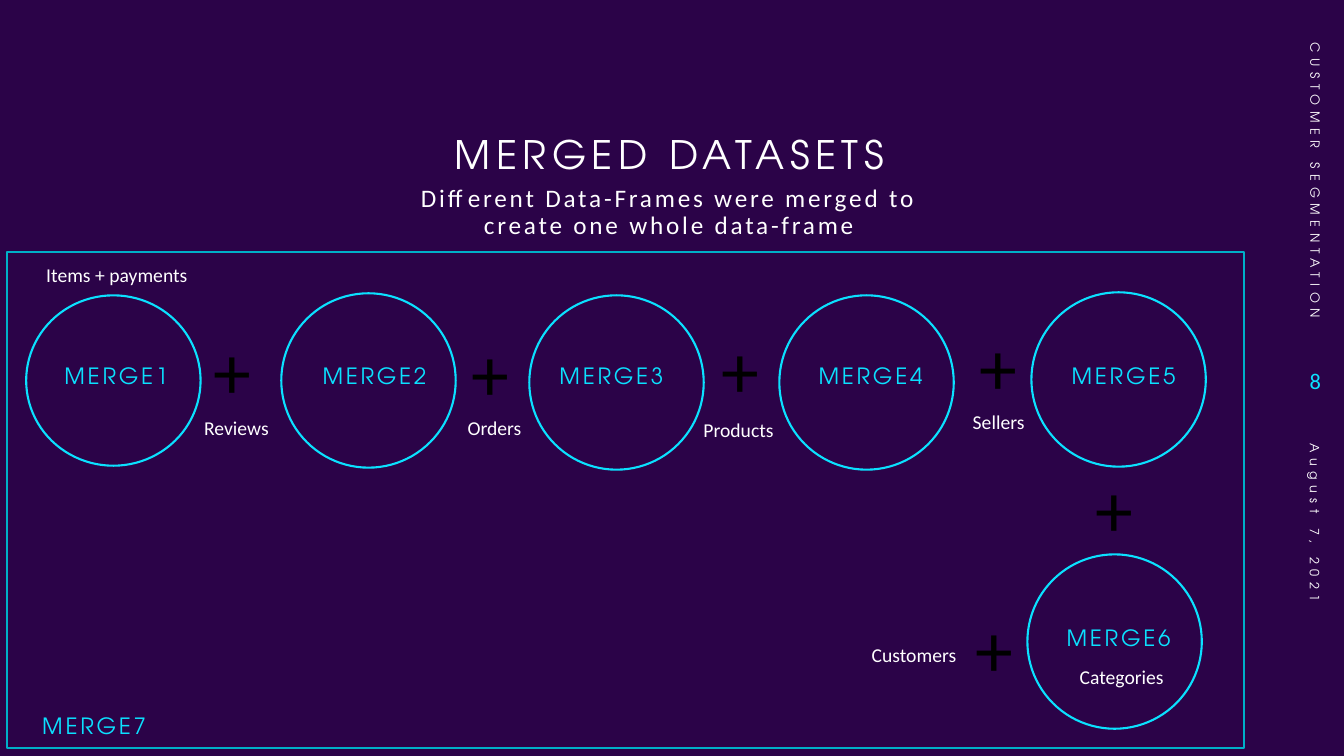
from pptx import Presentation
from pptx.dml.color import RGBColor
from pptx.enum.shapes import MSO_SHAPE
from pptx.enum.text import MSO_ANCHOR, MSO_AUTO_SIZE, PP_ALIGN
from pptx.util import Inches, Pt

WIDE, HIGH = 13.33, 7.5
PURPLE = RGBColor(0x2B, 0x03, 0x48)
CYAN = RGBColor(0x0B, 0xE1, 0xFF)
TEAL = RGBColor(0x00, 0xAF, 0xC8)
WHITE = RGBColor(0xFF, 0xFF, 0xFF)
BLACK = RGBColor(0x00, 0x00, 0x00)
HEAD, BODY = "TeX Gyre Adventor", "Calibri"

TITLE = "MERGED DATASETS"
LEAD = "Different Data-Frames were merged to create one whole data-frame"
FRAME = (0.07, 2.5, 12.27, 4.92)
DISC = 1.73
ROW = 3.15
RINGS = [
    (0.26, 2.93, 1.69),
    (2.79, 2.91, DISC),
    (5.25, 2.93, DISC),
    (7.73, 2.93, DISC),
    (10.23, 2.9, DISC),
    (10.19, 5.5, DISC),
]
MERGES = [
    (0.22, ROW), (2.78, ROW), (5.13, ROW), (7.7, ROW),
    (10.21, ROW), (10.16, 5.75), (0, 6.62),
]
PLUSES = [
    (2.01, 3.16), (4.57, 3.18), (7.05, 3.15),
    (9.61, 3.12), (10.76, 4.53), (9.57, 5.92),
]
TABLES = [
    ("Items + payments", 1.16, 2.5),
    ("Reviews", 2.345, 4.02),
    ("Orders", 4.905, 4.02),
    ("Products", 7.325, 4.04),
    ("Sellers", 9.905, 3.96),
    ("Categories", 11.125, 6.49),
    ("Customers", 9.065, 6.27),
]
LABEL = (1.87, 0.44)
SIDE = [
    ("CUSTOMER SEGMENTATION", (11.53, 1.54, 3.03, 0.4), PP_ALIGN.RIGHT),
    ("August 7, 2021", (11.59, 5.55, 2.9, 0.4), PP_ALIGN.LEFT),
]


def place(shape, box):
    shape.left, shape.top, shape.width, shape.height = map(Inches, box)


def write(slide, text, box, shape=None, size=14, font=BODY, color=WHITE,
          align=PP_ALIGN.CENTER, anchor=MSO_ANCHOR.TOP, gap=0, lead=1.0,
          turn=0, wrap=True):
    shape = shape or slide.shapes.add_textbox(0, 0, 0, 0)
    place(shape, box)
    shape.rotation = turn
    frame = shape.text_frame
    frame.auto_size = MSO_AUTO_SIZE.NONE
    frame.word_wrap = wrap
    frame.vertical_anchor = anchor
    para = frame.paragraphs[0]
    para.alignment = align
    para.line_spacing = lead
    run = para.add_run()
    run.text = text
    run.font.size = Pt(size)
    run.font.name = font
    run.font.color.rgb = color
    if gap:
        run.font._element.set("spc", str(gap * 100))


def draw(slide, kind, box, color, weight, fill=None):
    shape = slide.shapes.add_shape(kind, *map(Inches, box))
    shape.shadow.inherit = False
    if fill is None:
        shape.fill.background()
    else:
        shape.fill.solid()
        shape.fill.fore_color.rgb = fill
    shape.line.color.rgb = color
    shape.line.width = Pt(weight)


def main():
    deck = Presentation()
    deck.slide_width, deck.slide_height = Inches(WIDE), Inches(HIGH)
    slide = deck.slides.add_slide(deck.slide_layouts[5])
    slide.background.fill.solid()
    slide.background.fill.fore_color.rgb = PURPLE

    draw(slide, MSO_SHAPE.RECTANGLE, FRAME, TEAL, 1, fill=PURPLE)
    write(slide, TITLE, (3.57, 1.08, 6.14, 0.74), shape=slide.shapes.title,
          size=28, font=HEAD, gap=4, lead=0.9, anchor=MSO_ANCHOR.BOTTOM)
    write(slide, LEAD, (3.82, 1.79, 5.63, 0.79), size=18, gap=2, lead=0.9)

    for left, top, tall in RINGS:
        draw(slide, MSO_SHAPE.OVAL, (left, top, DISC, tall), CYAN, 1.5)
    for step, (left, top) in enumerate(MERGES, 1):
        write(slide, f"MERGE{step}", (left, top, 1.87, 1.15), size=16,
              font=HEAD, color=CYAN, gap=2, anchor=MSO_ANCHOR.MIDDLE)
    for left, top in PLUSES:
        write(slide, "+", (left, top, 0.58, 1.01), size=54, color=BLACK,
              wrap=False)
    for name, mid, top in TABLES:
        write(slide, name, (mid - LABEL[0] / 2, top, *LABEL), lead=1.25)

    for text, box, align in SIDE:
        write(slide, text, box, size=9, font=HEAD, gap=4, align=align,
              anchor=MSO_ANCHOR.MIDDLE, turn=90)
    write(slide, "8", (12.6, 3.46, 0.6, 0.63), size=16, color=CYAN,
          align=PP_ALIGN.RIGHT, anchor=MSO_ANCHOR.MIDDLE)
    deck.save("out.pptx")


if __name__ == "__main__":
    main()
